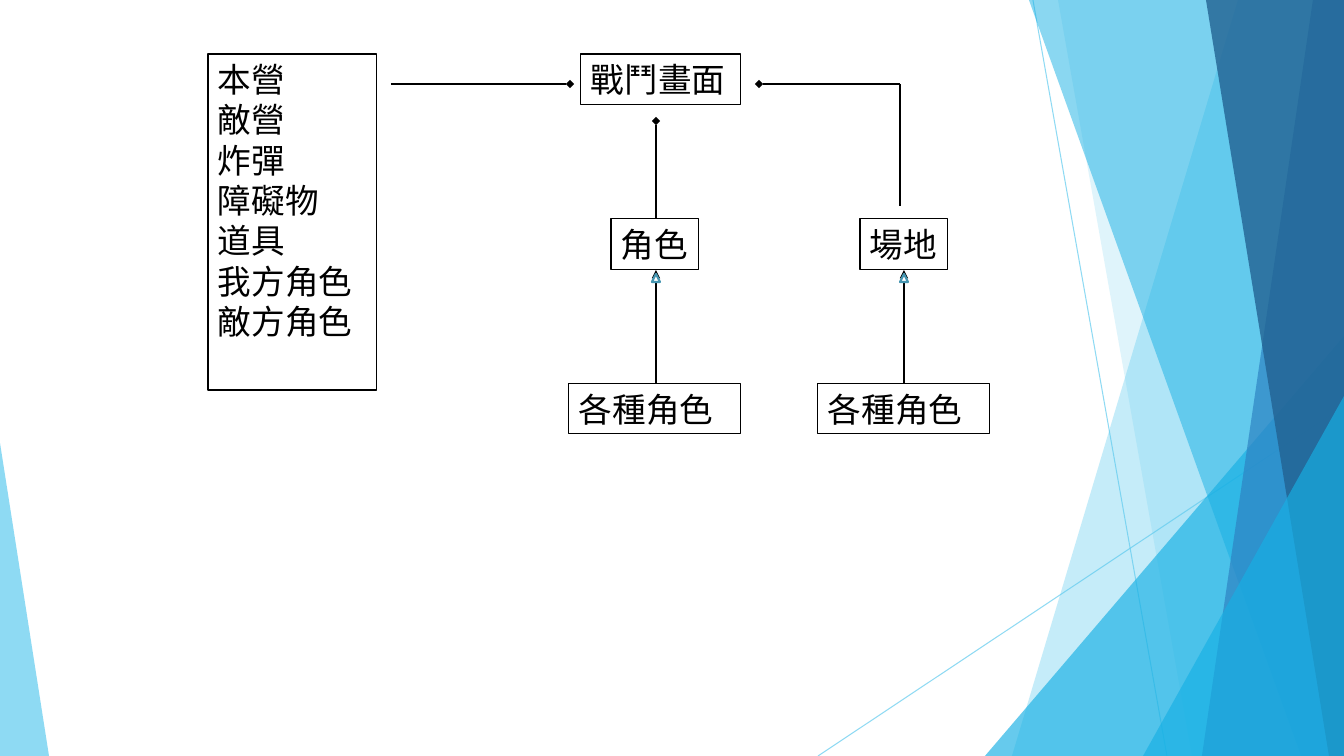
import pptx
import pptx.util
import pptx.dml.color
import pptx.enum.shapes
import pptx.enum.text
import pptx.oxml.ns
import lxml.etree

PX = 914400 / 100.8
WIDE, HIGH = 1344, 756
FONT = "Lato"
HUES = {"sky": "5FCBEF", "cyan": "17B0E4", "blue": "2E83C3", "navy": "226292",
        "black": "000000", "white": "FFFFFF", "teal": "4696B1"}

# Backdrop: hairlines, slanted facets and corner triangles, back to front
RAYS = [(1033, 0, 1167, 756), (1344, 406, 818, 756)]
# A facet reaches the right edge: top x, bottom x, hue, opacity
# A corner is a triangle on the bottom edge: left, top, width, apex, hue, opacity
DECOR = [
    ("facet", (1238, 1012), "sky", 36),
    ("facet", (1058, 1192), "sky", 20),
    ("corner", (985, 336, 359, 1), "cyan", 66),
    ("facet", (1029, 1301), "cyan", 50),
    ("facet", (1313, 1202), "blue", 70),
    ("facet", (1206, 1329), "navy", 80),
    ("corner", (1143, 396, 201, 1), "cyan", 66),
    ("corner", (0, 443, 49, 0), "sky", 70),
]

# Class diagram: left, top, width, height, lines
BOXES = [
    (208, 54, 169, 336, ["本營", "敵營", "炸彈", "障礙物", "道具", "我方角色", "敵方角色"]),
    (581, 54, 160, 51, ["戰鬥畫面"]),
    (611, 219, 88, 51, ["角色"]),
    (860, 219, 88, 51, ["場地"]),
    (569, 384, 172, 50, ["各種角色"]),
    (818, 384, 172, 50, ["各種角色"]),
]
HEIRS = [656, 904]  # centre of each inheritance arrow
LINKS = [
    (391, 84, 570, 84, "diamond"),
    (656, 219, 656, 121, "diamond"),
    (900, 84, 759, 84, "diamond"),
    (900, 84, 900, 206, None),
] + [(x, 384, x, 270, "triangle") for x in HEIRS]

KIND = pptx.enum.shapes.MSO_SHAPE


def emu(*nums):
    return [pptx.util.Emu(round(n * PX)) for n in nums]


def hue(name):
    return pptx.dml.color.RGBColor.from_string(HUES[name])


def sub(node, tag, **attrs):
    return lxml.etree.SubElement(node, pptx.oxml.ns.qn(tag), **attrs)


def fade(shape, pct):
    for node in shape.element.spPr.iter(pptx.oxml.ns.qn("a:srgbClr")):
        sub(node, "a:alpha", val=str(pct * 1000))


def paint(shape, fill=None, line=None, width=0.75):
    shape.shadow.inherit = False
    if fill:
        shape.fill.solid()
        shape.fill.fore_color.rgb = hue(fill)
    else:
        shape.fill.background()
    if line:
        shape.line.color.rgb = hue(line)
        shape.line.width = pptx.util.Pt(width)
    else:
        shape.line.fill.background()


def draw(x1, y1, x2, y2, color, width, head=None):
    line = shapes.add_connector(pptx.enum.shapes.MSO_CONNECTOR.STRAIGHT,
                                *emu(x1, y1, x2, y2))
    line.line.color.rgb = hue(color)
    line.line.width = pptx.util.Pt(width)
    if head:
        sub(line.line._get_or_add_ln(), "a:tailEnd", type=head)
    sub(line.element.spPr, "a:effectLst")
    return line


def facet(top, foot):
    path = shapes.build_freeform(top, 0, scale=PX)
    path.add_line_segments([(WIDE, 0), (WIDE, HIGH), (foot, HIGH)], close=True)
    return path.convert_to_shape()


def corner(left, top, width, apex):
    shape = shapes.add_shape(KIND.ISOSCELES_TRIANGLE,
                             *emu(left, top, width, HIGH - top))
    shape.adjustments[0] = apex
    return shape


def label(left, top, width, height, lines):
    box = shapes.add_shape(KIND.RECTANGLE, *emu(left, top, width, height))
    paint(box, line="black")
    frame = box.text_frame
    frame.word_wrap = True
    frame.vertical_anchor = pptx.enum.text.MSO_ANCHOR.TOP
    frame.text = "\n".join(lines)
    for para in frame.paragraphs:
        para.alignment = pptx.enum.text.PP_ALIGN.LEFT
        for run in para.runs:
            run.font.name = FONT
            run.font.size = pptx.util.Pt(24)
            run.font.color.rgb = hue("black")


deck = pptx.Presentation()
deck.slide_width, deck.slide_height = emu(WIDE, HIGH)
shapes = deck.slides.add_slide(deck.slide_layouts[6]).shapes

# Backdrop
for ray in RAYS:
    fade(draw(*ray, "sky", 0.75), 70)
for kind, spots, color, pct in DECOR:
    part = facet(*spots) if kind == "facet" else corner(*spots)
    paint(part, fill=color)
    fade(part, pct)

# Diagram
for box in BOXES:
    label(*box)
for *ends, head in LINKS:
    draw(*ends, "black", 1.5, head)
for x in HEIRS:
    tip = shapes.add_shape(KIND.ISOSCELES_TRIANGLE, *emu(x - 4, 274, 8, 8))
    paint(tip, "white", "teal", 1.5)

deck.save("out.pptx")
